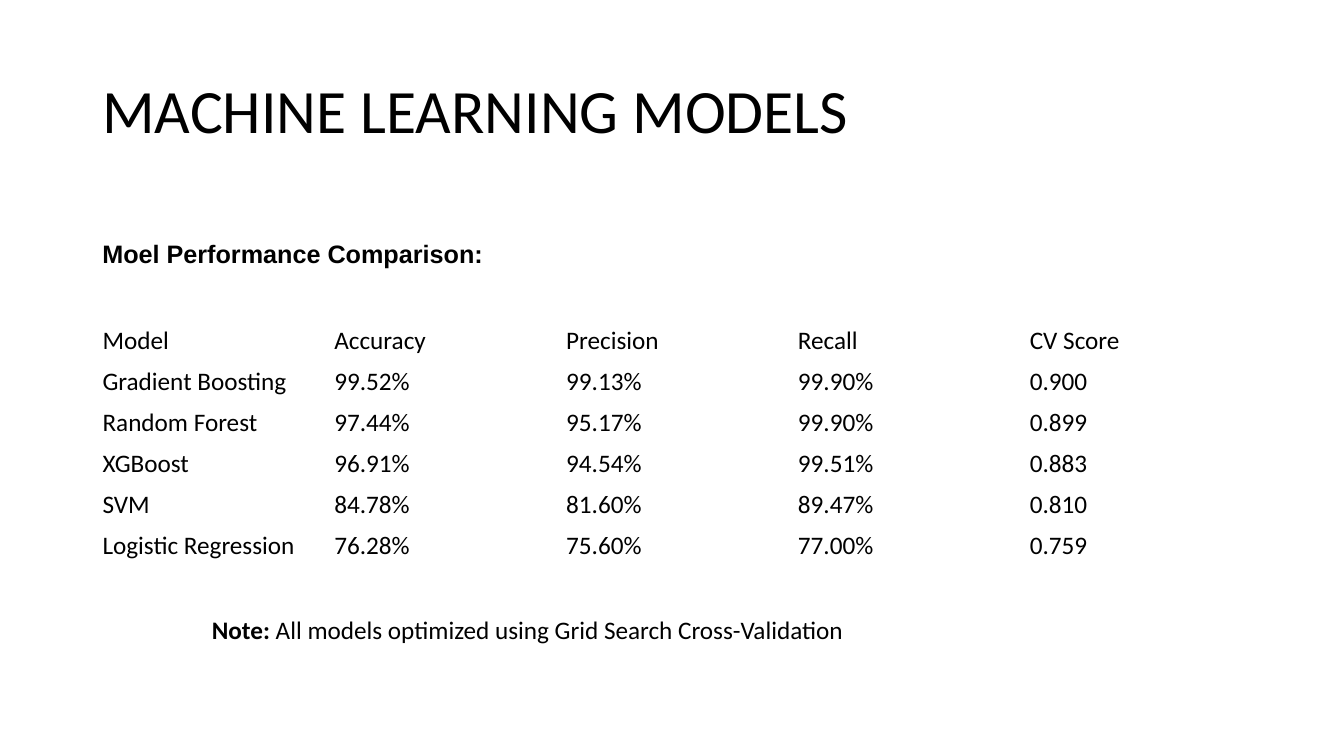
from dataclasses import dataclass

from pptx import Presentation
from pptx.dml.color import RGBColor
from pptx.enum.text import MSO_ANCHOR, MSO_AUTO_SIZE
from pptx.util import Cm, Pt

MIDDLE = MSO_ANCHOR.MIDDLE
TOP = MSO_ANCHOR.TOP
GROW = MSO_AUTO_SIZE.SHAPE_TO_FIT_TEXT
FIXED = MSO_AUTO_SIZE.NONE


@dataclass(frozen=True)
class Theme:
    ink: RGBColor = RGBColor(0, 0, 0)
    body_font: str = "Calibri"
    heading_font: str = "Arial"
    title_size: int = 44
    body_size: int = 18


THEME = Theme()
LEFT = 2.33
CONTENT_WIDTH = 29.21
ROW_HEIGHT = 1.03

SCORES = [
    ("Model", "Accuracy", "Precision", "Recall", "CV Score"),
    ("Gradient Boosting", "99.52%", "99.13%", "99.90%", "0.900"),
    ("Random Forest", "97.44%", "95.17%", "99.90%", "0.899"),
    ("XGBoost", "96.91%", "94.54%", "99.51%", "0.883"),
    ("SVM", "84.78%", "81.60%", "89.47%", "0.810"),
    ("Logistic Regression", "76.28%", "75.60%", "77.00%", "0.759"),
]


def style_run(run, size=THEME.body_size, font=THEME.body_font, bold=False):
    run.font.size = Pt(size)
    run.font.name = font
    run.font.bold = bold
    run.font.color.rgb = THEME.ink


def add_text(slide, box, parts, anchor=MIDDLE, wrap=True, auto_size=GROW, **style):
    frame = slide.shapes.add_textbox(*map(Cm, box)).text_frame
    frame.word_wrap = wrap
    frame.auto_size = auto_size
    frame.vertical_anchor = anchor
    paragraph = frame.paragraphs[0]
    for wording, bold in parts:
        run = paragraph.add_run()
        run.text = wording
        style_run(run, bold=bold, **style)
    return paragraph


def add_score_table(slide, top, rows):
    height = ROW_HEIGHT * len(rows)
    table = slide.shapes.add_table(
        len(rows), len(rows[0]), Cm(LEFT), Cm(top), Cm(CONTENT_WIDTH), Cm(height)
    ).table
    table.first_row = False
    table.horz_banding = False
    for row, values in zip(table.rows, rows):
        row.height = Cm(ROW_HEIGHT)
        for cell, value in zip(row.cells, values):
            cell.fill.background()
            cell.vertical_anchor = MIDDLE
            cell.text_frame.text = value
            style_run(cell.text_frame.paragraphs[0].runs[0])


def main():
    deck = Presentation()
    deck.slide_width = Cm(33.87)
    deck.slide_height = Cm(19.05)
    slide = deck.slides.add_slide(deck.slide_layouts[6])

    title = add_text(
        slide, (LEFT, 1.01, CONTENT_WIDTH, 3.68),
        [("MACHINE LEARNING MODELS", False)],
        auto_size=FIXED, size=THEME.title_size,
    )
    title.line_spacing = 0.9
    add_score_table(slide, 8.08, SCORES)
    add_text(
        slide, (LEFT, 5.87, 10.21, 1.03),
        [("Moel Performance Comparison:", True)],
        wrap=False, font=THEME.heading_font,
    )
    add_text(
        slide, (5.09, 15.35, 16.93, 1.03),
        [("Note:", True),
         (" All models optimized using Grid Search Cross-Validation", False)],
        anchor=TOP,
    )
    deck.save("out.pptx")


if __name__ == "__main__":
    main()
